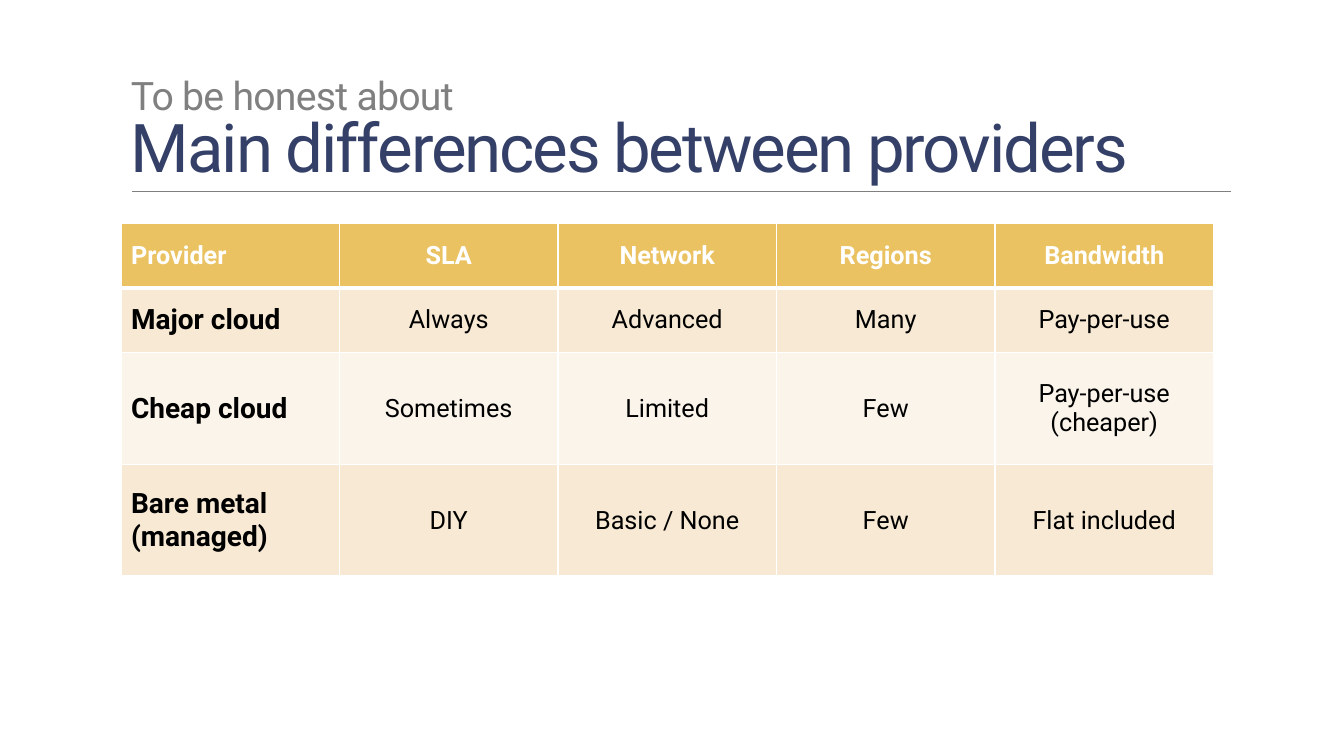
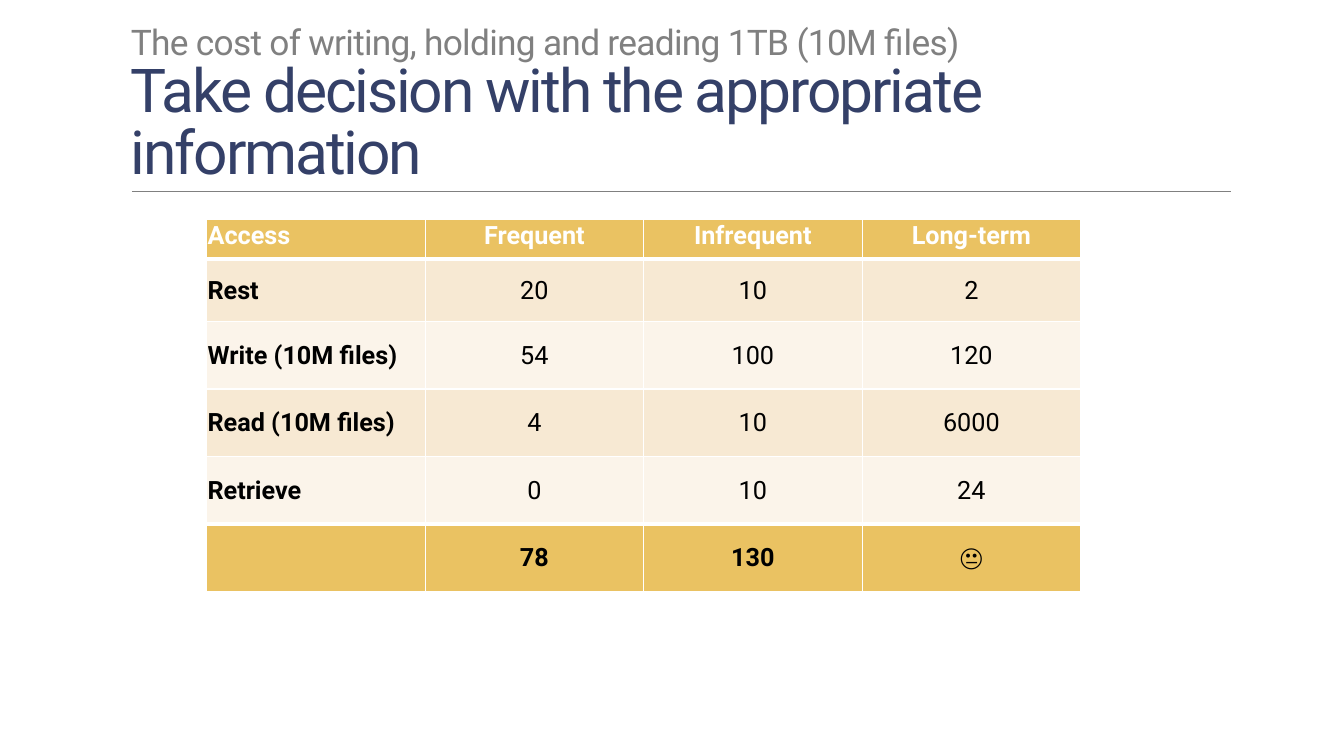
"""Build two slides comparing cloud providers and storage costs."""
import pptx
import pptx.dml.color
import pptx.enum.shapes
import pptx.enum.text
import pptx.oxml
import pptx.oxml.ns
import pptx.util

Pt = pptx.util.Pt
RGBColor = pptx.dml.color.RGBColor
Align = pptx.enum.text.PP_ALIGN
Anchor = pptx.enum.text.MSO_ANCHOR

GRAY = RGBColor(0x80, 0x80, 0x80)
NAVY = RGBColor(0x34, 0x40, 0x68)
GOLD = RGBColor(0xEA, 0xC2, 0x62)
SAND = RGBColor(0xF7, 0xE9, 0xD3)
CREAM = RGBColor(0xFB, 0xF4, 0xEA)
WHITE = RGBColor(0xFF, 0xFF, 0xFF)
BLACK = RGBColor(0x00, 0x00, 0x00)
FONT = "Roboto"
COLUMN_WIDTH = 156.1
THIN, THICK = 1, 3

SLIDES = [
    {
        "kicker": "To be honest about",
        "title": "Main differences between providers",
        "title_sizes": (28, 48),
        "position": (86.4, 159.8),
        "heights": [46, 46, 80, 80],
        "margins": (7.2, 3.6, 7.2, 3.6),
        "header_anchor": Anchor.MIDDLE,
        "label_size": 20,
        "has_total": False,
        "rows": [
            ("Provider", "SLA", "Network", "Regions", "Bandwidth"),
            ("Major cloud", "Always", "Advanced", "Many", "Pay-per-use"),
            ("Cheap cloud", "Sometimes", "Limited", "Few", "Pay-per-use (cheaper)"),
            ("Bare metal (managed)", "DIY", "Basic / None", "Few", "Flat included"),
        ],
    },
    {
        "kicker": "The cost of writing, holding and reading 1TB (10M files)",
        "title": "Take decision with the appropriate information",
        "title_sizes": (25.2, 43.2),
        "position": (147.6, 157),
        "heights": [28, 44.6, 48.3, 48.3, 48.3, 48.3],
        "margins": (0.7, 0.7, 0.7, 0),
        "header_anchor": Anchor.TOP,
        "label_size": 18,
        "has_total": True,
        "rows": [
            ("Access", "Frequent", "Infrequent", "Long-term"),
            ("Rest", "20", "10", "2"),
            ("Write (10M files)", "54", "100", "120"),
            ("Read (10M files)", "4", "10", "6000"),
            ("Retrieve", "0", "10", "24"),
            ("", "78", "130", "😐"),
        ],
    },
]


def write(para, text, size=18, color=BLACK, bold=False, tracking=0, align=Align.LEFT):
    para.alignment = align
    span = para.add_run()
    span.text = text
    span.font.name = FONT
    span.font.size = Pt(size)
    span.font.bold = bold
    span.font.color.rgb = color
    if tracking:
        span._r.get_or_add_rPr().set("spc", str(round(tracking * 100)))


def add_heading(page, content):
    rule = page.shapes.add_connector(
        pptx.enum.shapes.MSO_CONNECTOR.STRAIGHT, Pt(94.3), Pt(136.8), Pt(879.1), Pt(136.8))
    rule.line.color.rgb = GRAY
    rule.line.width = Pt(0.5)
    rule._element.spPr.append(pptx.oxml.parse_xml(
        f"<a:effectLst {pptx.oxml.ns.nsdecls('a')}/>"))

    box = page.shapes.add_textbox(Pt(86.4), Pt(22.3), Pt(792), Pt(114.5))
    frame = box.text_frame
    frame.word_wrap = True
    frame.vertical_anchor = Anchor.BOTTOM
    para = frame.paragraphs[0]
    para.line_spacing = 0.85
    kicker_size, title_size = content["title_sizes"]
    write(para, content["kicker"], size=kicker_size, color=GRAY, tracking=-0.5)
    para.add_line_break()
    write(para, content["title"], size=title_size, color=NAVY, tracking=-1.5)


def set_borders(cell, top, bottom):
    properties = cell._tc.get_or_add_tcPr()
    widths = {"lnL": THIN, "lnR": THIN, "lnT": top, "lnB": bottom}
    for index, (side, width) in enumerate(widths.items()):
        properties.insert(index, pptx.oxml.parse_xml(
            f"<a:{side} {pptx.oxml.ns.nsdecls('a')} w=\"{Pt(width)}\">"
            f'<a:solidFill><a:srgbClr val="{WHITE}"/></a:solidFill></a:{side}>'))


def add_grid(page, content):
    rows, heights = content["rows"], content["heights"]
    column_count = len(rows[0])
    left, top = content["position"]
    table = page.shapes.add_table(
        len(rows), column_count, Pt(left), Pt(top),
        Pt(COLUMN_WIDTH * column_count), Pt(sum(heights))).table
    for column in table.columns:
        column.width = Pt(COLUMN_WIDTH)

    total_row = len(rows) - 1 if content["has_total"] else len(rows)
    thick_edges = {1, total_row}
    for row, values in enumerate(rows):
        table.rows[row].height = Pt(heights[row])
        is_header = row == 0
        is_accent = row in (0, total_row)
        fill = GOLD if is_accent else (SAND if row % 2 else CREAM)
        for column, text in enumerate(values):
            is_label = column == 0
            cell = table.cell(row, column)
            cell.fill.solid()
            cell.fill.fore_color.rgb = fill
            set_borders(cell,
                        top=THICK if row in thick_edges else THIN,
                        bottom=THICK if row + 1 in thick_edges else THIN)
            cell.margin_left, cell.margin_top, cell.margin_right, cell.margin_bottom = map(
                Pt, content["margins"])
            cell.vertical_anchor = content["header_anchor"] if is_header else Anchor.MIDDLE
            if text:
                write(cell.text_frame.paragraphs[0], text,
                      size=content["label_size"] if is_label and not is_header else 18,
                      color=WHITE if is_header else BLACK,
                      bold=is_accent or is_label,
                      align=Align.LEFT if is_label else Align.CENTER)


def main():
    deck = pptx.Presentation()
    deck.slide_width, deck.slide_height = Pt(960), Pt(540)
    for content in SLIDES:
        page = deck.slides.add_slide(deck.slide_layouts[6])
        add_heading(page, content)
        add_grid(page, content)
    deck.save("out.pptx")


if __name__ == "__main__":
    main()
